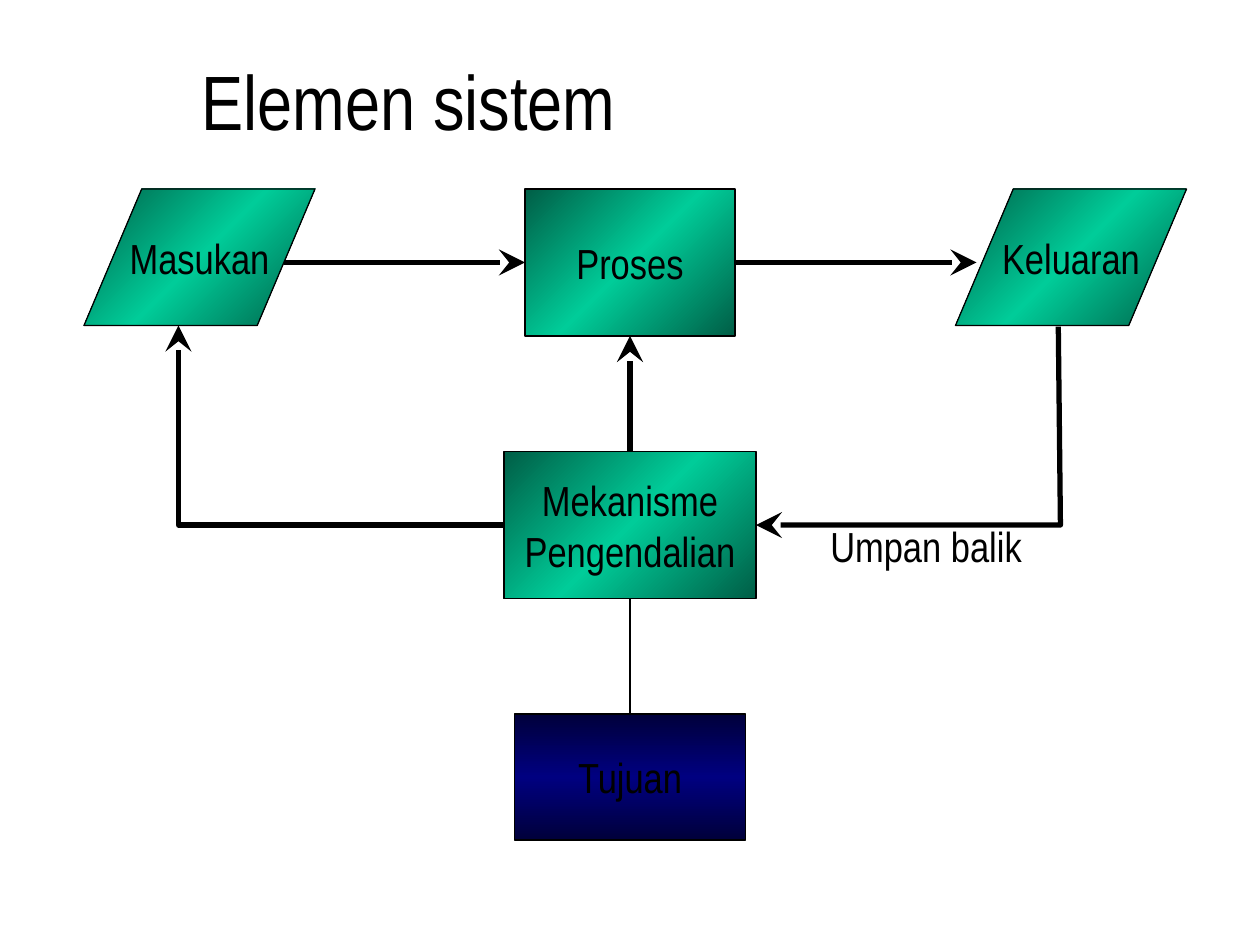
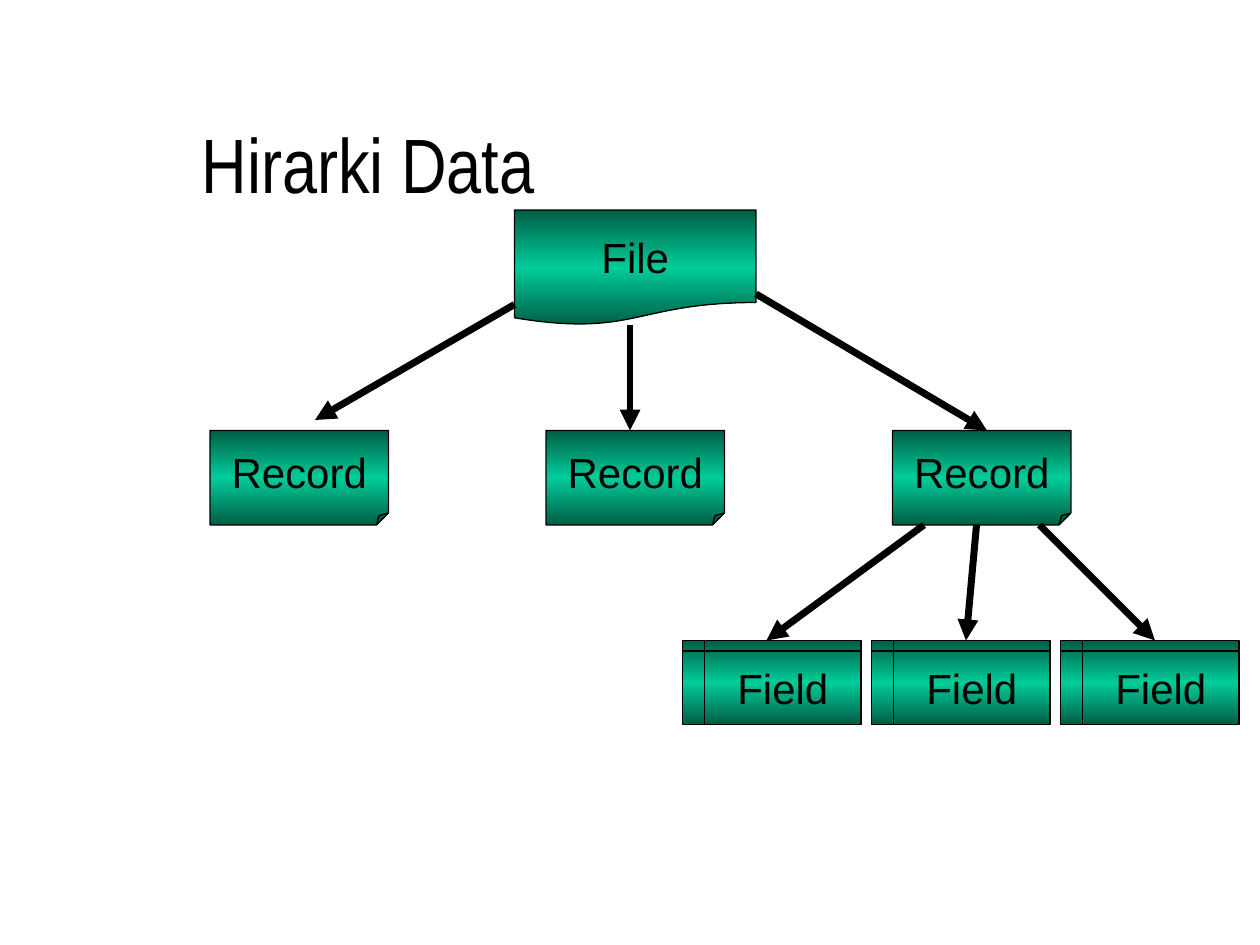
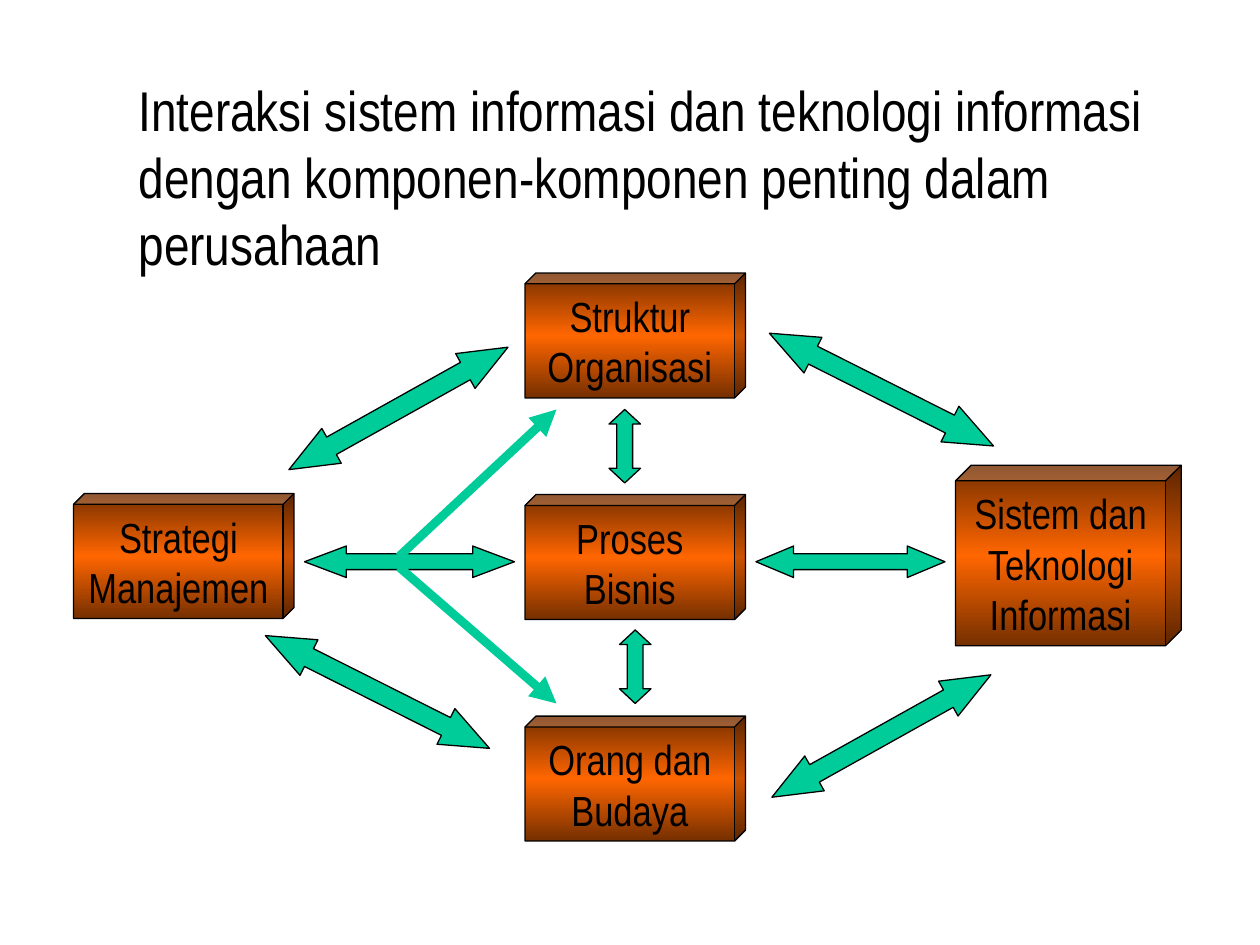
from copy import deepcopy

from pptx import Presentation
from pptx.dml.color import RGBColor
from pptx.enum.shapes import MSO_CONNECTOR, MSO_SHAPE
from pptx.enum.text import MSO_ANCHOR, MSO_AUTO_SIZE, PP_ALIGN
from pptx.oxml.ns import qn
from pptx.util import Inches, Pt

COLORS = {"ink": "000000", "green": "00CC99", "green_dark": "005E46",
          "navy": "000080", "navy_dark": "00003B",
          "orange": "FF6600", "orange_dark": "752F00"}
COLS, ROWS = 120, 90
NARROW, SANS = "Arial Narrow", "Arial"


def rgb(name):
    """Return the named colour."""
    return RGBColor.from_string(COLORS[name])


def write(tf, text, size=24, font=NARROW, color="ink", align=PP_ALIGN.CENTER,
          anchor=MSO_ANCHOR.MIDDLE, wrap=False):
    """Put formatted text into a text frame."""
    tf.auto_size = MSO_AUTO_SIZE.NONE
    tf.word_wrap = wrap
    tf.vertical_anchor = anchor
    p = tf.paragraphs[0]
    p.alignment = align
    r = p.add_run()
    r.text = text
    r.font.size, r.font.name = Pt(size), font
    r.font.color.rgb = rgb(color)


class Deck:
    """Hold the style, the grid and the current slide."""

    def __init__(self):
        """Start a 10 by 7.5 inch presentation."""
        self.prs = Presentation()
        self.prs.slide_width, self.prs.slide_height = Inches(10), Inches(7.5)
        self.s = None

    def grid(self, *units):
        """Turn alternating columns and rows into lengths."""
        sides = (self.prs.slide_width / COLS, self.prs.slide_height / ROWS)
        return [round(u * sides[i % 2]) for i, u in enumerate(units)]

    def slide(self, title, at, size=44):
        """Add a slide with its title."""
        self.s = self.prs.slides.add_slide(self.prs.slide_layouts[5])
        sp = self.s.shapes.title
        sp.left, sp.top, sp.width, sp.height = self.grid(*at)
        write(sp.text_frame, title, size, align=PP_ALIGN.LEFT, wrap=True)

    def outline(self, sp, color="ink", width=0.75, head=None, head_size="med"):
        """Set a line and the arrowhead at its end."""
        sp.line.color.rgb = rgb(color)
        sp.line.width = Pt(width)
        if head:
            ln = sp.line._get_or_add_ln()
            tail = ln.makeelement(qn("a:tailEnd"), {"type": head, "w": head_size, "len": head_size})
            ln.append(tail)

    def shape(self, kind, at, adj=None, rotation=0):
        """Add an outlined preset shape, with named adjustments."""
        sp = self.s.shapes.add_shape(kind, *self.grid(*at))
        if adj:
            guides = sp._element.spPr.find(".//" + qn("a:avLst"))
            for guide in list(guides):
                guides.remove(guide)
            for name, value in adj.items():
                formula = f"val {round(value * 100000)}"
                guides.append(guides.makeelement(qn("a:gd"), {"name": name, "fmla": formula}))
        sp.rotation = rotation
        sp.shadow.inherit = False
        self.outline(sp)
        return sp

    def node(self, kind, text, at, tone="green", angle=270, adj=None, **fmt):
        """Add a labelled shape shaded dark, bright, dark."""
        sp = self.shape(kind, at, {"adj": adj} if adj else None)
        sp.fill.gradient()
        sp.fill.gradient_angle = angle
        stops = sp._element.spPr.find(".//" + qn("a:gsLst"))
        stops.append(deepcopy(stops[0]))
        shades = (tone + "_dark", tone, tone + "_dark")
        for i, (stop, shade) in enumerate(zip(sp.fill.gradient_stops, shades)):
            stop.position = i / 2
            stop.color.rgb = rgb(shade)
        write(sp.text_frame, text, **fmt)

    def block_arrow(self, kind, at, head, rotation=0):
        """Add a solid two-headed arrow."""
        sp = self.shape(kind, at, {"adj1": 0.5, "adj2": head}, rotation)
        sp.fill.solid()
        sp.fill.fore_color.rgb = rgb("green")

    def line(self, ends, **style):
        """Add a straight line or arrow."""
        sp = self.s.shapes.add_connector(MSO_CONNECTOR.STRAIGHT, *self.grid(*ends))
        self.outline(sp, **style)
        sp_pr = sp._element.spPr
        sp_pr.append(sp_pr.makeelement(qn("a:effectLst"), {}))

    def bent(self, points, **style):
        """Add an open line through points."""
        start, *rest = [self.grid(*point) for point in points]
        fb = self.s.shapes.build_freeform(*start)
        fb.add_line_segments(rest, close=False)
        sp = fb.convert_to_shape()
        sp.fill.background()
        sp.shadow.inherit = False
        self.outline(sp, **style)

    def label(self, text, at):
        """Add free text."""
        tf = self.s.shapes.add_textbox(*self.grid(*at)).text_frame
        write(tf, text, align=PP_ALIGN.LEFT, anchor=MSO_ANCHOR.TOP)


def system_elements(d):
    """Build the input, process and output loop."""
    d.slide("Elemen sistem", (18, 2, 97, 15))
    for text, x in (("Masukan", 8), ("Keluaran", 91)):
        d.node(MSO_SHAPE.PARALLELOGRAM, text, (x, 18, 22, 13), angle=135, adj=0.423)
    d.node(MSO_SHAPE.RECTANGLE, "Proses", (50, 18, 20, 14), angle=135)
    d.node(MSO_SHAPE.RECTANGLE, "Mekanisme Pengendalian", (48, 43, 24, 14), angle=135, wrap=True)
    d.node(MSO_SHAPE.RECTANGLE, "Tujuan", (49, 68, 22, 12), tone="navy")
    flow = {"width": 3, "head": "stealth", "head_size": "lg"}
    for ends in ((27, 25, 50, 25), (70, 25, 93, 25), (60, 43, 60, 32)):
        d.line(ends, **flow)
    d.line((60, 57, 60, 68))
    d.bent([(100.8, 31.1), (101, 50), (72, 50)], **flow)
    d.bent([(48, 50), (17, 50), (17, 31)], **flow)
    d.label("Umpan balik", (77.9, 49, 20.6, 6))


def data_hierarchy(d):
    """Build the file, record and field tree."""
    d.slide("Hirarki Data", (18, 8, 97, 15))
    d.node(MSO_SHAPE.FLOWCHART_DOCUMENT, "File", (49, 20, 23, 11), font=SANS)
    for x in (20, 52, 85):
        d.node(MSO_SHAPE.FOLDED_CORNER, "Record", (x, 41, 17, 9), adj=0.125, font=SANS)
    for i in range(3):
        d.node(MSO_SHAPE.FLOWCHART_INTERNAL_STORAGE, "Field", (65 + 18 * i, 61, 17, 8), font=SANS)
    for ends in ((49, 29, 30, 40), (72, 28, 94, 41), (60, 31, 60, 41),
                 (88, 50, 73, 61), (93, 50, 92, 61), (99, 50, 110, 61)):
        d.line(ends, width=4, head="triangle")


def company_interaction(d):
    """Build the map of company components."""
    d.slide("Interaksi sistem informasi dan teknologi informasi dengan "
            "komponen-komponen penting dalam perusahaan", (12, 6.6, 108, 20.4), size=32)
    middle = ("Struktur Organisasi", "Proses Bisnis", "Orang dan Budaya")
    cubes = [(text, (50, 26 + 21.1 * i, 21, 11.9)) for i, text in enumerate(middle)]
    cubes += [("Sistem dan Teknologi Informasi", (91, 44.3, 21.5, 17.2)),
              ("Strategi Manajemen", (7, 47, 21, 11.9))]
    for text, at in cubes:
        d.node(MSO_SHAPE.CUBE, text, at, tone="orange", adj=0.087, wrap=True)
    across, upright = MSO_SHAPE.LEFT_RIGHT_ARROW, MSO_SHAPE.UP_DOWN_ARROW
    for x, y, rotation in ((26, 37, 330.8), (72, 68.2, 330.8), (72, 35.2, 206.7), (24, 64, 206.7)):
        d.block_arrow(across, (x, y, 23.9, 3.8), 1.225, rotation)
    for x, y in ((59, 60), (58, 39)):
        d.block_arrow(upright, (x, y, 3, 7), 0.465)
    for x, width, head in ((29, 20, 1.327), (72, 18, 1.194)):
        d.block_arrow(across, (x, 52, width, 3), head)
    for ends in ((38, 54, 53, 67), (38, 53, 53, 39)):
        d.line(ends, color="green", width=5, head="triangle")


def main():
    """Build and save the slides."""
    d = Deck()
    for build in (system_elements, data_hierarchy, company_interaction):
        build(d)
    d.prs.save("out.pptx")


if __name__ == "__main__":
    main()
